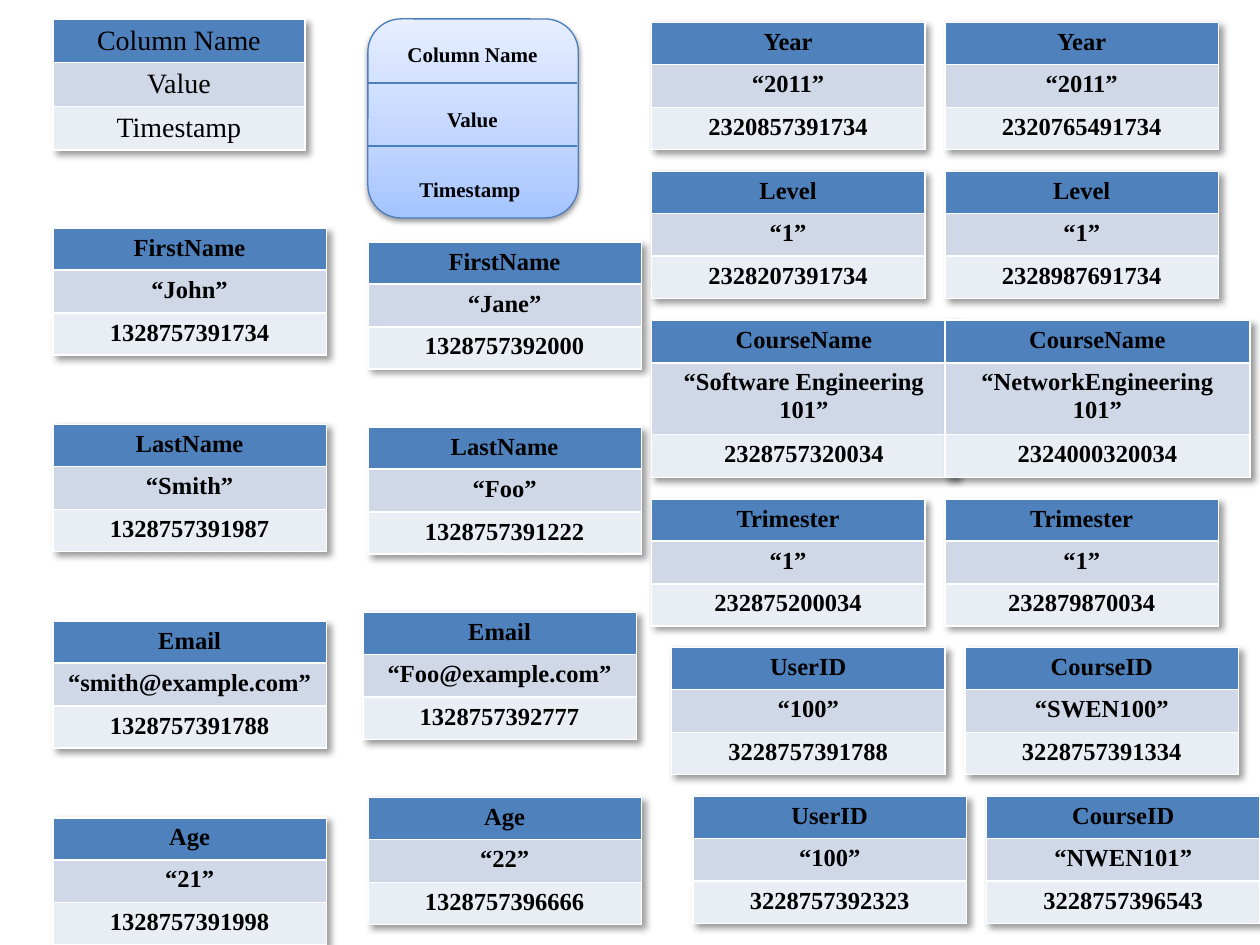
from lxml import etree
from pptx import Presentation
from pptx import util as u
from pptx.dml.color import RGBColor
from pptx.enum import shapes, text
from pptx.oxml.ns import qn

FONT = "Times New Roman"
ROW_FILLS = ("4F81BD", "D0D8E8", "E9EDF4")
OUTLINE = "4B7EBC"
ROWS = (0.33, 0.34, 0.33)
COURSE_ROWS = (0.34, 0.57, 0.34)
LEGEND = ("Column Name", "Value", "Timestamp")

JOHN = [
    ("FirstName", "“John”", "1328757391734"),
    ("LastName", "“Smith”", "1328757391987"),
    ("Email", "“smith@example.com”", "1328757391788"),
    ("Age", "“21”", "1328757391998"),
]
JANE = [
    (2.92, ("FirstName", "“Jane”", "1328757392000")),
    (2.92, ("LastName", "“Foo”", "1328757391222")),
    (2.88, ("Email", "“Foo@example.com”", "1328757392777")),
    (2.92, ("Age", "“22”", "1328757396666")),
]
# left, top, then the two columns that stand side by side
COURSE_PAIRS = [
    (5.17, 0.18, ("Year", "“2011”", "2320857391734"),
     ("Year", "“2011”", "2320765491734")),
    (5.17, 1.36, ("Level", "“1”", "2328207391734"),
     ("Level", "“1”", "2328987691734")),
    (5.17, 2.54, ("CourseName", "“Software Engineering 101”", "2328757320034"),
     ("CourseName", "“NetworkEngineering 101”", "2324000320034")),
    (5.17, 3.96, ("Trimester", "“1”", "232875200034"),
     ("Trimester", "“1”", "232879870034")),
    (5.33, 5.14, ("UserID", "“100”", "3228757391788"),
     ("CourseID", "“SWEN100”", "3228757391334")),
    (5.5, 6.32, ("UserID", "“100”", "3228757392323"),
     ("CourseID", "“NWEN101”", "3228757396543")),
]


def rgb(color):
    return RGBColor.from_string(color)


def sub(parent, tag, **attrs):
    return etree.SubElement(parent, qn(tag), {k: str(v) for k, v in attrs.items()})


def outer_shadow(parent, blur, dist, angle, alpha):
    """Append an effect list with one black shadow; blur and dist in points."""
    effects = sub(parent, "a:effectLst")
    shadow = sub(effects, "a:outerShdw", blurRad=u.Pt(blur), dist=u.Pt(dist),
                 dir=angle * 60000, algn="tl", rotWithShape=0)
    black = sub(shadow, "a:srgbClr", val="000000")
    sub(black, "a:alpha", val=alpha * 1000)
    return effects


def set_text(tf, content, size=14, bold=True, color="000000"):
    p = tf.paragraphs[0]
    p.alignment = text.PP_ALIGN.CENTER
    r = p.add_run()
    r.text = content
    r.font.name = FONT
    r.font.size = u.Pt(size)
    r.font.bold = bold
    r.font.color.rgb = rgb(color)


def add_column_table(s, x, y, values, width=2.17, rows=ROWS, **fmt):
    frame = s.shapes.add_table(len(values), 1, u.Inches(x), u.Inches(y),
                               u.Inches(width), u.Inches(sum(rows)))
    table = frame.table
    for i, (value, height, fill) in enumerate(zip(values, rows, ROW_FILLS)):
        table.rows[i].height = u.Inches(height)
        cell = table.cell(i, 0)
        cell.fill.solid()
        cell.fill.fore_color.rgb = rgb(fill)
        set_text(cell.text_frame, value, **fmt)
    props = frame._element.graphic.graphicData.tbl.tblPr
    props.insert(0, outer_shadow(props, 4, 3, 45, 40))


def add_gradient_box(group, x, y, w, h):
    sp = group.shapes.add_shape(shapes.MSO_SHAPE.ROUNDED_RECTANGLE, u.Inches(x),
                                u.Inches(y), u.Inches(w), u.Inches(h))
    sp.line.color.rgb = rgb(OUTLINE)
    sp.line.width = u.Pt(0.75)
    sp.fill.gradient()
    sp.fill.gradient_angle = 90
    stops = sp._element.spPr.find(qn("a:gradFill")).find(qn("a:gsLst"))
    for stop in list(stops):
        stops.remove(stop)
    for pos, color in ((0, "A4C4FF"), (35, "BFD4FF"), (100, "E6EEFF")):
        sub(sub(stops, "a:gs", pos=pos * 1000), "a:srgbClr", val=color)
    outer_shadow(sp._element.spPr, 3.1, 1.6, 90, 38)


def add_divider(group, x1, x2, y):
    line = group.shapes.add_connector(shapes.MSO_CONNECTOR.STRAIGHT, u.Inches(x1),
                                      u.Inches(y), u.Inches(x2), u.Inches(y))
    line.line.color.rgb = rgb(OUTLINE)
    line.line.width = u.Pt(0.75)
    sub(line._element.spPr, "a:effectLst")


def add_label(group, x, y, content):
    tf = group.shapes.add_textbox(u.Inches(x), u.Inches(y), u.Inches(1.28),
                                  u.Inches(0.3)).text_frame
    tf.word_wrap = True
    tf.auto_size = text.MSO_AUTO_SIZE.SHAPE_TO_FIT_TEXT
    set_text(tf, content, size=12)


def add_legend_box(s):
    group = s.shapes.add_group_shape()
    add_gradient_box(group, 2.92, 0.15, 1.67, 1.58)
    for y in (0.66, 1.16):
        add_divider(group, 2.92, 4.58, y)
    for x, y, content in zip((3.11, 3.11, 3.09), (0.28, 0.8, 1.35), LEGEND):
        add_label(group, x, y, content)


def main():
    prs = Presentation()
    prs.slide_width, prs.slide_height = u.Inches(10), u.Inches(7.5)
    s = prs.slides.add_slide(prs.slide_layouts[6])

    add_column_table(s, 0.42, 0.15, LEGEND, width=2, rows=(0.34, 0.34, 0.34),
                     size=16, bold=False)
    add_legend_box(s)
    for i, values in enumerate(JOHN):
        add_column_table(s, 0.42, 1.81 + 1.56 * i, values)
    for i, (x, values) in enumerate(JANE):
        add_column_table(s, x, 1.92 + 1.47 * i, values)
    for x, y, *pair in COURSE_PAIRS:
        for i, values in enumerate(pair):
            wide = values[0] == "CourseName"
            add_column_table(s, x + 2.33 * i, y, values,
                             width=2.42 if wide else 2.17,
                             rows=COURSE_ROWS if wide else ROWS)
    prs.save("out.pptx")


if __name__ == "__main__":
    main()
